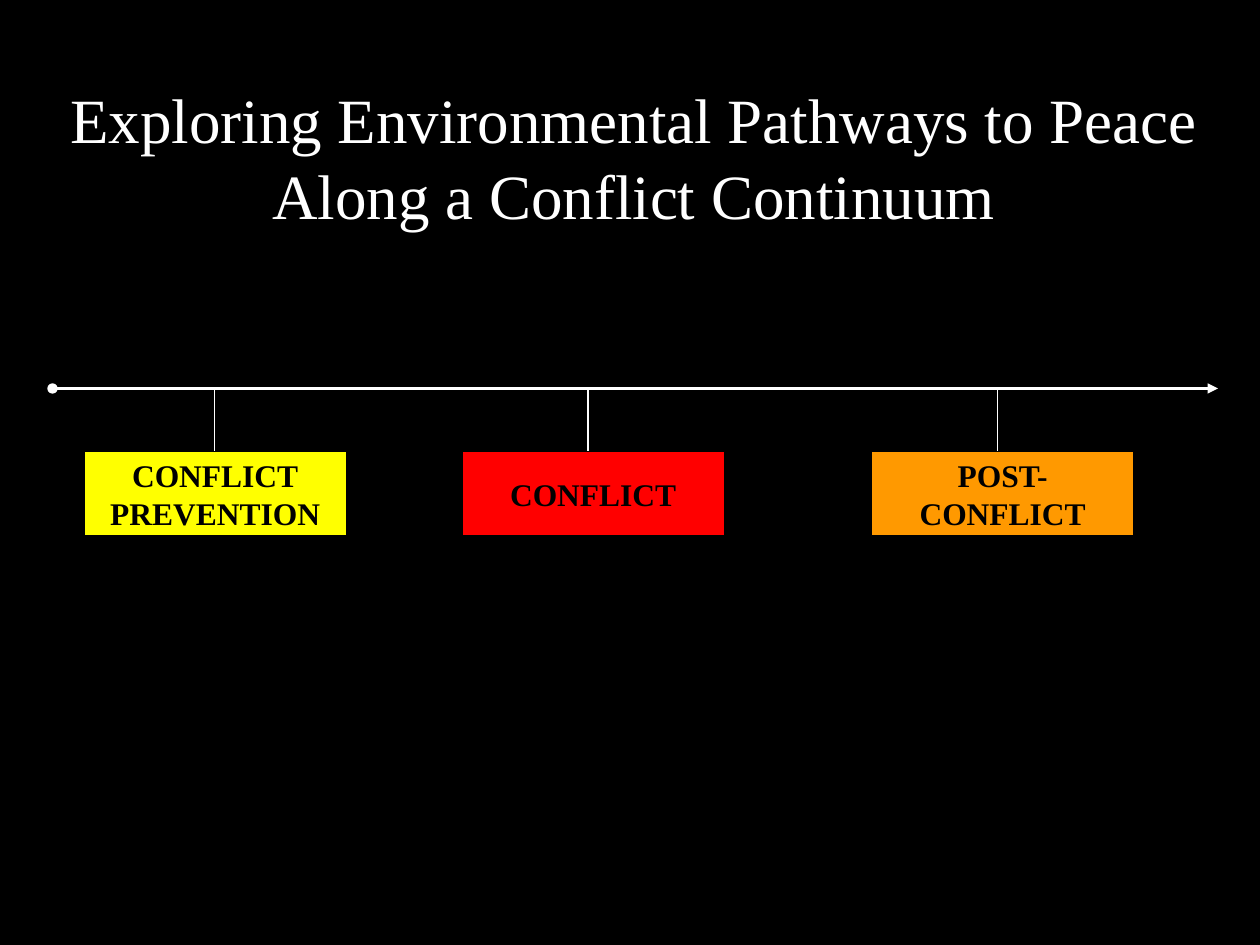
from lxml import etree
from pptx import Presentation
from pptx.dml.color import RGBColor
from pptx.enum.shapes import MSO_CONNECTOR, MSO_SHAPE
from pptx.enum.text import MSO_ANCHOR, MSO_AUTO_SIZE, PP_ALIGN
from pptx.oxml.ns import qn
from pptx.util import Inches, Pt

STRAIGHT = MSO_CONNECTOR.STRAIGHT
PROCESS, RECTANGLE = MSO_SHAPE.FLOWCHART_PROCESS, MSO_SHAPE.RECTANGLE
TOP, MIDDLE = MSO_ANCHOR.TOP, MSO_ANCHOR.MIDDLE
NO_AUTOFIT = MSO_AUTO_SIZE.NONE
CENTER = PP_ALIGN.CENTER

FONT = "Times New Roman"
COLORS = {
    "black": "000000",
    "white": "FFFFFF",
    "yellow": "FFFF00",
    "red": "FF0000",
    "orange": "FF9900",
}

# The slide is a grid of 120 columns by 90 rows, twelve to the inch.
COLUMNS, ROWS, CELLS_PER_INCH = 120, 90, 12
AXIS_START, AXIS_END, AXIS_ROW = 5, 116, 37
BOX_ROW, BOX_WIDTH, BOX_HEIGHT = 43, 25, 8

# Lines of the label, preset shape, fill, left column, column of the tick
STAGES = [
    (["CONFLICT", "PREVENTION"], PROCESS, "yellow", 8, 20.4),
    (["CONFLICT"], RECTANGLE, "red", 44, 56),
    (["POST-", "CONFLICT"], RECTANGLE, "orange", 83, 95),
]
TITLE = ["Exploring Environmental Pathways to Peace ",
         "Along a Conflict Continuum"]


def cells(count):
    return Inches(count / CELLS_PER_INCH)


def color(name):
    return RGBColor.from_string(COLORS[name])


def write_text(shape, lines, size, color_name, bold=False, anchor=MIDDLE):
    """Write one centred paragraph per line."""
    frame = shape.text_frame
    frame.word_wrap = False
    frame.auto_size = NO_AUTOFIT
    frame.vertical_anchor = anchor
    frame.text = "\n".join(lines)
    for paragraph in frame.paragraphs:
        paragraph.alignment = CENTER
        font = paragraph.runs[0].font
        font.name, font.size, font.bold = FONT, Pt(size), bold
        font.color.rgb = color(color_name)


def add_line(shapes, start, end, width, head=None, tail=None):
    """Draw a white line between two (column, row) points."""
    points = [cells(value) for value in (*start, *end)]
    connector = shapes.add_connector(STRAIGHT, *points)
    connector.line.color.rgb = color("white")
    connector.line.width = Pt(width)
    outline = connector.line._get_or_add_ln()
    for tag, kind in (("a:headEnd", head), ("a:tailEnd", tail)):
        if kind:
            etree.SubElement(outline, qn(tag), type=kind)
    etree.SubElement(connector._element.spPr, qn("a:effectLst"))


def add_stage(slide, label, preset, fill, left, tick):
    """Add a labelled box and the tick that joins it to the axis."""
    group = slide.shapes.add_group_shape()
    box = group.shapes.add_shape(preset, cells(left), cells(BOX_ROW),
                                 cells(BOX_WIDTH), cells(BOX_HEIGHT))
    box.shadow.inherit = False
    box.fill.solid()
    box.fill.fore_color.rgb = color(fill)
    box.line.color.rgb = color("black")
    box.line.width = Pt(0.75)
    write_text(box, label, size=18, color_name="black", bold=True)
    add_line(group.shapes, (tick, AXIS_ROW), (tick, BOX_ROW), width=0.75)


def add_title(slide):
    title = slide.shapes.title
    title.left, title.top = Inches(0.4), Inches(0.59)
    title.width, title.height = Inches(9.26), Inches(1.3)
    write_text(title, TITLE, size=36, color_name="white", anchor=TOP)


def main():
    presentation = Presentation()
    presentation.slide_width = cells(COLUMNS)
    presentation.slide_height = cells(ROWS)
    title_only = presentation.slide_layouts.get_by_name("Title Only")
    slide = presentation.slides.add_slide(title_only)
    slide.background.fill.solid()
    slide.background.fill.fore_color.rgb = color("black")

    add_title(slide)
    add_line(slide.shapes, (AXIS_START, AXIS_ROW), (AXIS_END, AXIS_ROW),
             width=1.5, head="oval", tail="triangle")
    for stage in STAGES:
        add_stage(slide, *stage)
    presentation.save("out.pptx")


if __name__ == "__main__":
    main()
